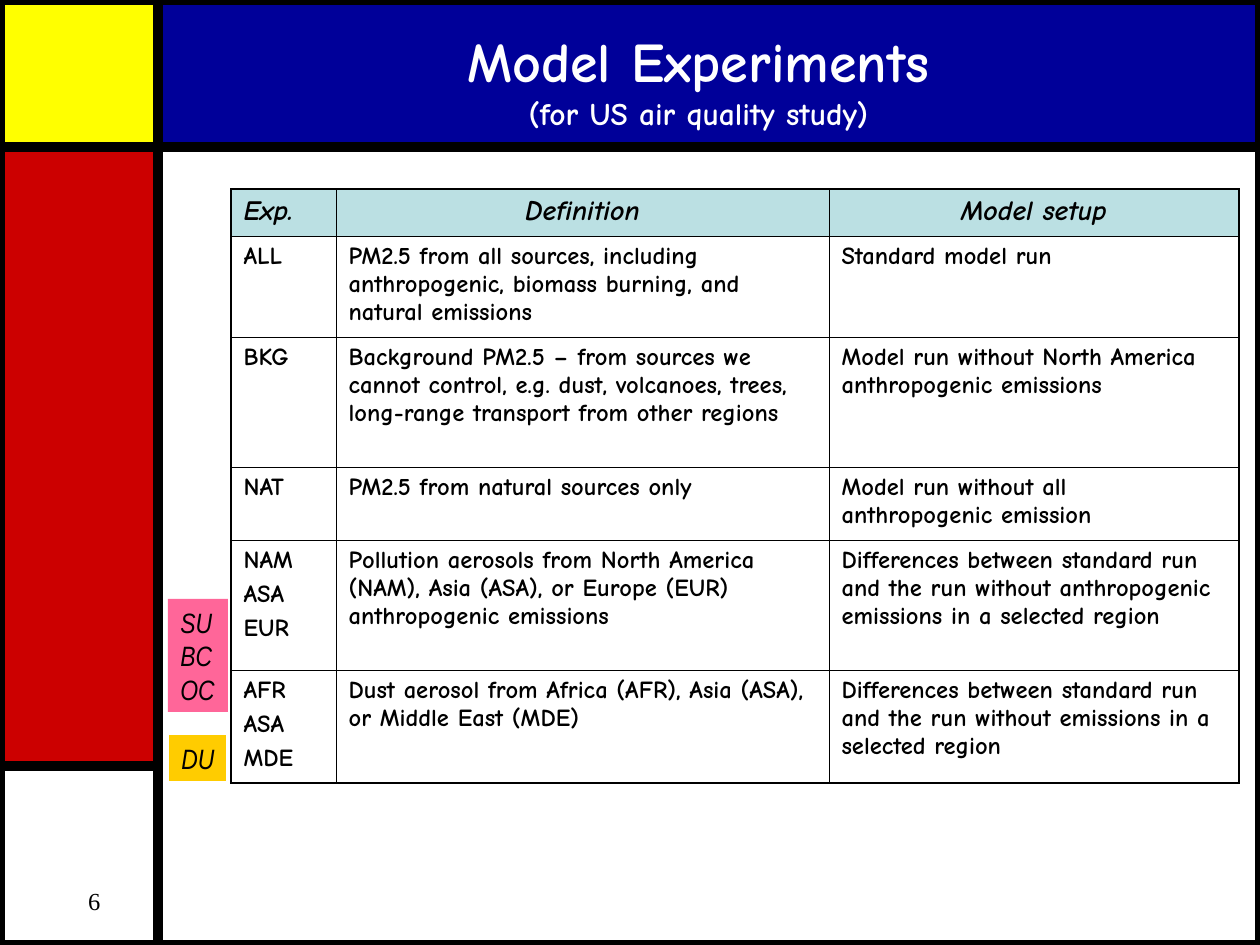
from lxml import etree
from pptx import Presentation
from pptx import util as u
from pptx.dml.color import RGBColor
from pptx.enum import shapes, text
from pptx.oxml.ns import qn

BLACK = RGBColor(0x00, 0x00, 0x00)
WHITE = RGBColor(0xFF, 0xFF, 0xFF)
NAVY = RGBColor(0x00, 0x00, 0x99)
RED = RGBColor(0xCC, 0x00, 0x00)
YELLOW = RGBColor(0xFF, 0xFF, 0x00)
PINK = RGBColor(0xFF, 0x66, 0x99)
AMBER = RGBColor(0xFF, 0xCC, 0x00)
PALE_TEAL = RGBColor(0xBB, 0xE0, 0xE3)

WIDTH, HEIGHT = 1260, 945
SIDE, HEADER, FOOTER = 158, 147, 766
OUTER, INNER = u.Pt(1.08), u.Pt(0.45)


def px(*lengths):
    """Turn pixels, 126 to the inch, into EMU."""
    return [round(length * 914400 / 126) for length in lengths]


def add_block(box, fill):
    block = slide.shapes.add_shape(shapes.MSO_SHAPE.RECTANGLE, *px(*box))
    block.shadow.inherit = False
    block.fill.solid()
    block.fill.fore_color.rgb = fill
    block.line.fill.background()
    return block


prs = Presentation()
prs.slide_width, prs.slide_height = px(WIDTH, HEIGHT)
slide = prs.slides.add_slide(prs.slide_layouts[5])
title = slide.shapes.title

# Background panels
panels = [
    ((SIDE, HEADER, WIDTH - SIDE, HEIGHT - HEADER), WHITE),
    ((0, FOOTER, SIDE, HEIGHT - FOOTER), WHITE),
    ((SIDE, 0, WIDTH - SIDE, HEADER), NAVY),
    ((0, HEADER, SIDE, FOOTER - HEADER), RED),
    ((0, 0, SIDE, HEADER), YELLOW),
]
for box, fill in panels:
    panel = add_block(box, fill)
    panel.line.color.rgb = BLACK
    panel.line.width = u.Pt(6)

# Title, moved in front of the panels
slide.shapes._spTree.append(title._element)
title.left, title.top, title.width, title.height = px(168, 21, 1061, 116)
title.text_frame.vertical_anchor = text.MSO_ANCHOR.MIDDLE
title.text_frame.auto_size = text.MSO_AUTO_SIZE.NONE
heading = title.text_frame.paragraphs[0]
heading.alignment = text.PP_ALIGN.CENTER
heading.font.name = "Comic Neue"
heading.font.bold = True
heading.font.color.rgb = WHITE
main_line = heading.add_run()
main_line.text = "Model Experiments"
main_line.font.size = u.Pt(32)
heading.add_line_break()
sub_line = heading.add_run()
sub_line.text = "(for US air quality study)"
sub_line.font.size = u.Pt(18)

# Experiments table
experiments = [
    ("Exp.", "Definition", "Model setup"),
    ("ALL",
     "PM2.5 from all sources, including anthropogenic, biomass burning, and natural emissions",
     "Standard model run"),
    ("BKG",
     "Background PM2.5 – from sources we cannot control, e.g. dust, volcanoes, trees, "
     "long-range transport from other regions",
     "Model run without North America anthropogenic emissions"),
    ("NAT",
     "PM2.5 from natural sources only",
     "Model run without all anthropogenic emission"),
    ("NAM\nASA\nEUR",
     "Pollution aerosols from North America (NAM), Asia (ASA), or Europe (EUR) "
     "anthropogenic emissions",
     "Differences between standard run and the run without anthropogenic emissions "
     "in a selected region"),
    ("AFR\nASA\nMDE",
     "Dust aerosol from Africa (AFR), Asia (ASA), or Middle East (MDE)",
     "Differences between standard run and the run without emissions in a selected region"),
]
column_widths = px(105, 493, 410)
row_heights = px(47, 101, 130, 73, 130, 113)
last_row, last_col = len(row_heights) - 1, len(column_widths) - 1

table = slide.shapes.add_table(
    len(row_heights), len(column_widths), *px(231, 189),
    sum(column_widths), sum(row_heights)).table
table.first_row = table.horz_banding = False
for column, width in zip(table.columns, column_widths):
    column.width = width
for row, height in zip(table.rows, row_heights):
    row.height = height

for r, experiment in enumerate(experiments):
    for c, wording in enumerate(experiment):
        cell = table.cell(r, c)
        cell.text = wording
        is_header = r == 0
        for i, para in enumerate(cell.text_frame.paragraphs):
            if i:
                para.space_before = u.Pt(3.5)
            if is_header and c:
                para.alignment = text.PP_ALIGN.CENTER
            para.font.name = "Comic Neue"
            para.font.size = u.Pt(16 if is_header else 14)
            para.font.bold = True
            para.font.italic = is_header
            para.font.color.rgb = BLACK

        on_edge = {"L": c == 0, "R": c == last_col, "T": r == 0, "B": r == last_row}
        properties = cell._tc.get_or_add_tcPr()
        for side, outer in on_edge.items():
            border = etree.SubElement(properties, qn(f"a:ln{side}"), w=str(OUTER if outer else INNER))
            border_fill = etree.SubElement(border, qn("a:solidFill"))
            etree.SubElement(border_fill, qn("a:srgbClr"), val=str(BLACK))
        if is_header:
            cell.fill.solid()
            cell.fill.fore_color.rgb = PALE_TEAL
        else:
            cell.fill.background()

# Aerosol species beside the table
species_tags = [
    ((168, 599, 60, 113), PINK, "SU\nBC\nOC"),
    ((169, 735, 57, 46), AMBER, "DU"),
]
for box, fill, species in species_tags:
    tag = add_block(box, fill)
    tag.text_frame.text = species
    tag.text_frame.word_wrap = "\n" in species
    tag.text_frame.vertical_anchor = text.MSO_ANCHOR.TOP
    for para in tag.text_frame.paragraphs:
        para.alignment = text.PP_ALIGN.LEFT
        para.font.name = "Arial Narrow"
        para.font.size = u.Pt(16)
        para.font.italic = True
        para.font.color.rgb = BLACK

# Page number
page_box = slide.shapes.add_textbox(*px(0, 880, SIDE, 65)).text_frame
page_box.word_wrap = True
page_box.margin_left = u.Inches(0.34)
page_number = page_box.paragraphs[0]
page_number.alignment = text.PP_ALIGN.CENTER
page_number.font.name = "Times New Roman"
page_number.font.size = u.Pt(14)
page_number.font.color.rgb = BLACK
page_number.add_run().text = "6"

prs.save("out.pptx")
